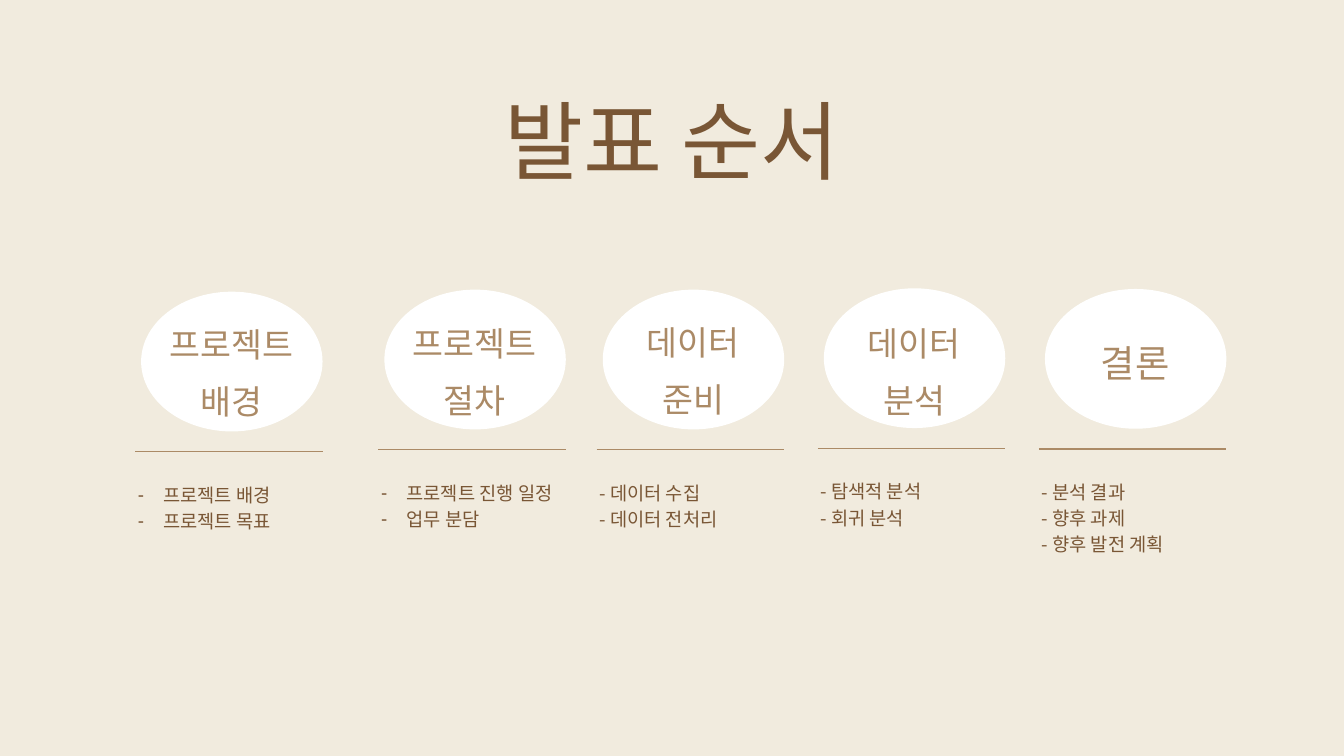
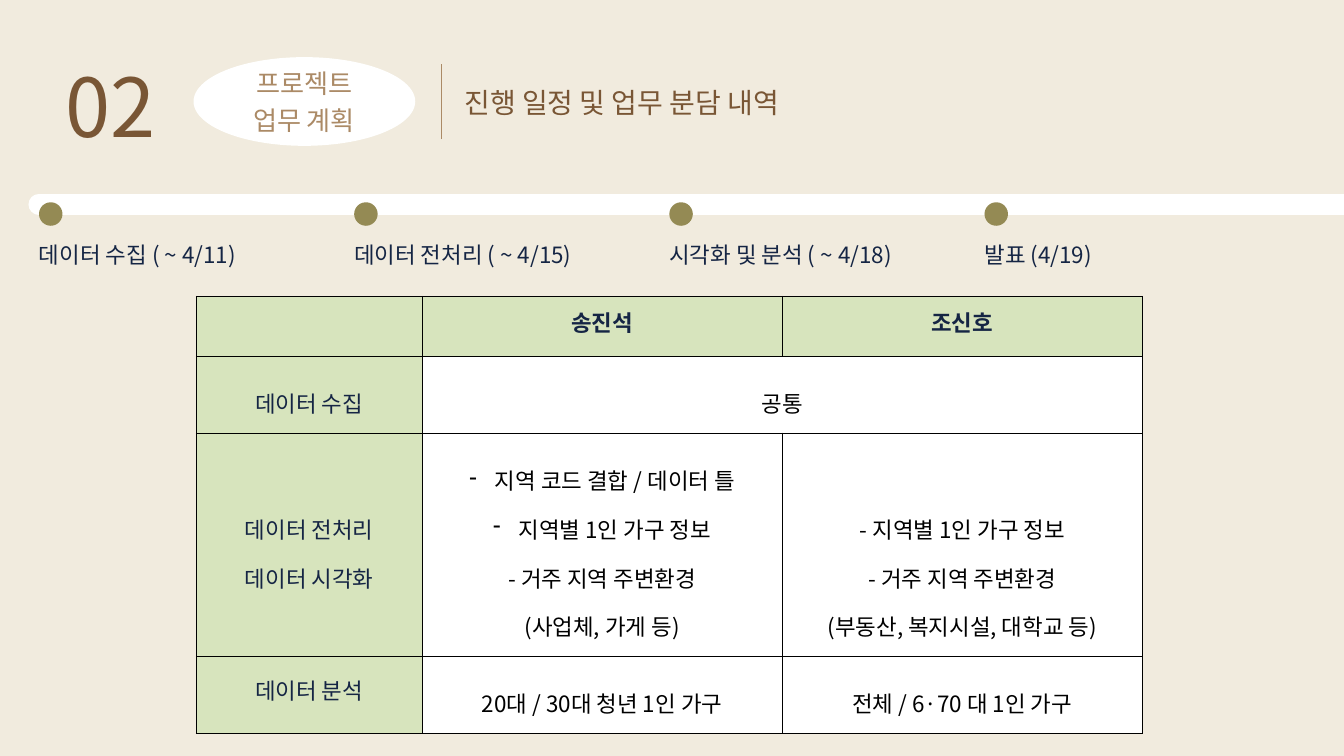
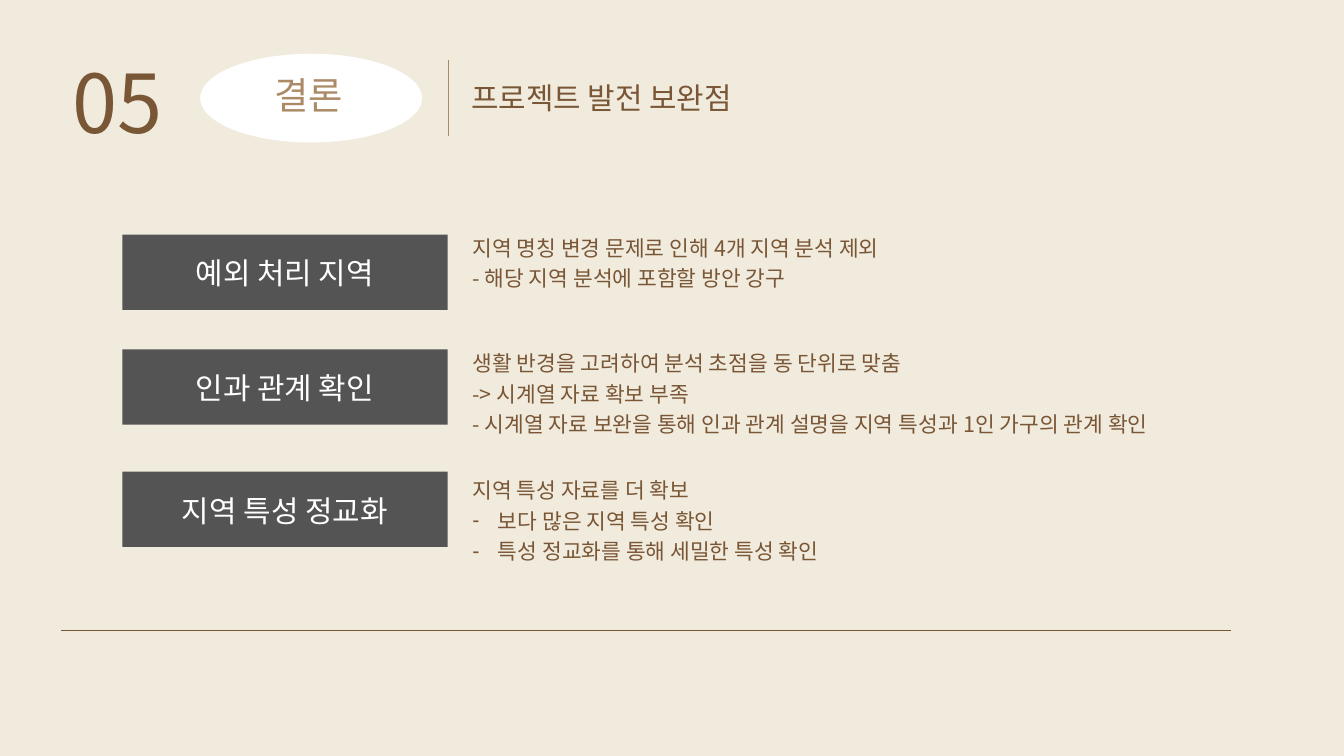
from copy import deepcopy

from lxml.etree import SubElement
from pptx import Presentation
from pptx.dml.color import RGBColor
from pptx.enum.shapes import MSO_CONNECTOR, MSO_SHAPE, MSO_SHAPE_TYPE
from pptx.enum.text import MSO_ANCHOR, MSO_AUTO_SIZE, PP_ALIGN
from pptx.oxml.ns import qn
from pptx.util import Inches, Pt

FONT = "Noto Sans CJK KR"
CREAM = RGBColor(0xF1, 0xEB, 0xDE)
BROWN = RGBColor(0x79, 0x56, 0x35)
TAN = RGBColor(0xAB, 0x8A, 0x66)
WHITE = RGBColor(0xFF, 0xFF, 0xFF)
BLACK = RGBColor(0x00, 0x00, 0x00)
NAVY = RGBColor(0x15, 0x25, 0x44)
OLIVE = RGBColor(0x94, 0x8A, 0x54)
GREEN = RGBColor(0xD7, 0xE4, 0xBD)
GRAY = RGBColor(0x54, 0x54, 0x54)


def write(frame, lines, size, color, spacing, align=PP_ALIGN.LEFT, dashed=(), bold=False):
    """Fill a text frame; the line numbers in dashed get a hanging dash bullet."""
    frame.text = "\n".join(lines)
    for number, paragraph in enumerate(frame.paragraphs):
        properties = paragraph._p.get_or_add_pPr()
        indent = Inches(0.38) if number in dashed else 0
        properties.set("marL", str(indent))
        properties.set("indent", str(-indent))
        if indent:
            SubElement(properties, qn("a:buChar")).set("char", "-")
        else:
            SubElement(properties, qn("a:buNone"))
        paragraph.alignment = align
        paragraph.line_spacing = spacing
        paragraph.space_before = Pt(0)
        for run in paragraph.runs:
            run.font.size = Pt(size)
            run.font.bold = bold
            run.font.color.rgb = color
            run.font.name = FONT
            SubElement(run._r.get_or_add_rPr(), qn("a:ea")).set("typeface", FONT)


def place_text(shape, left, top, width, height, lines, size, color, spacing, **style):
    """Position a text box or placeholder without insets and write into it."""
    shape.left, shape.top = Inches(left), Inches(top)
    shape.width, shape.height = Inches(width), Inches(height)
    frame = shape.text_frame
    frame.margin_left = frame.margin_right = frame.margin_top = frame.margin_bottom = 0
    frame.word_wrap = True
    frame.auto_size = MSO_AUTO_SIZE.NONE
    frame.vertical_anchor = MSO_ANCHOR.TOP
    write(frame, lines, size, color, Pt(spacing), **style)


prs = Presentation()
prs.slide_width, prs.slide_height = Inches(20), Inches(11.25)
prs.slide_master.background.fill.solid()
prs.slide_master.background.fill.fore_color.rgb = CREAM

# Give the title-and-content layout five list placeholders
layout = prs.slide_layouts[1]
first_list = layout.placeholders[1]._element
for extra in range(4):
    another_list = deepcopy(first_list)
    another_list.ph.set("idx", str(20 + extra))
    another_list.nvSpPr.cNvPr.set("id", str(20 + extra))
    layout.shapes._spTree.append(another_list)
agenda, plan, conclusion = [prs.slides.add_slide(layout) for _ in range(3)]

# Agenda
place_text(agenda.shapes.title, 7.19, 1.05, 5.62, 1.71, ["발표 순서"], 92, BROWN, 128.8,
           align=PP_ALIGN.CENTER)
# left, top of the oval, top of its label, label, label size, topics, dashed lines
sections = [
    (2.01, 4.34, 4.56, ["프로젝트", "배경"], 36, ["프로젝트 배경", "프로젝트 목표"], (0, 1)),
    (5.63, 4.31, 4.55, ["프로젝트", "절차"], 36, ["프로젝트 진행 일정", "업무 분담"], (0, 1)),
    (8.88, 4.31, 4.53, ["데이터", "준비"], 36, ["- 데이터 수집", "- 데이터 전처리"], ()),
    (12.17, 4.29, 4.55, ["데이터", "분석"], 36, ["- 탐색적 분석", "- 회귀 분석"], ()),
    (15.46, 4.3, 4.88, ["결론"], 40, ["- 분석 결과", "- 향후 과제", "- 향후 발전 계획"], ()),
]
topic_lists = list(agenda.placeholders)[1:]
for topic_list, section in zip(topic_lists, sections):
    left, top, label_top, label, size, topics, dashed = section
    oval = agenda.shapes.add_shape(
        MSO_SHAPE.OVAL, Inches(left + 0.09), Inches(top), Inches(2.7), Inches(2.08))
    oval.fill.solid()
    oval.fill.fore_color.rgb = WHITE
    rule = agenda.shapes.add_connector(
        MSO_CONNECTOR.STRAIGHT, Inches(left), Inches(top + 2.38),
        Inches(left + 2.79), Inches(top + 2.38))
    rule.line.color.rgb = TAN
    rule.line.width = Pt(1.5)
    place_text(agenda.shapes.add_textbox(0, 0, 0, 0), left, label_top, 2.87, 0.85 * len(label),
               label, size, TAN, 61.5, align=PP_ALIGN.CENTER)
    place_text(topic_list, left + 0.04, top + 2.8, 2.78, 0.39 * len(topics),
               topics, 20, BROWN, 28, align=PP_ALIGN.JUSTIFY, dashed=dashed)

# Headers of the numbered slides
headers = [
    (plan, 0.98, 0.59, "02", ["프로젝트", "업무 계획"], 28, 3.61, 0.93,
     "진행 일정 및 업무 분담 내역", 30),
    (conclusion, 1.08, 0.54, "05", ["결론"], 40, 3.68, 1.2, "프로젝트 발전 보완점", 32),
]
for slide, left, top, number, badge, badge_size, badge_left, badge_top, title, size in headers:
    oval = slide.shapes.add_shape(
        MSO_SHAPE.OVAL, Inches(left + 1.9), Inches(top + 0.26), Inches(3.3), Inches(1.32))
    oval.fill.solid()
    oval.fill.fore_color.rgb = WHITE
    divider = slide.shapes.add_connector(
        MSO_CONNECTOR.STRAIGHT, Inches(left + 5.59), Inches(top + 1.48),
        Inches(left + 5.59), Inches(top + 0.36))
    divider.line.color.rgb = TAN
    divider.line.width = Pt(1.5)
    place_text(slide.shapes.add_textbox(0, 0, 0, 0), left, top, 1.51, 1.58,
               [number], 87, BROWN, 121.9)
    place_text(slide.shapes.add_textbox(0, 0, 0, 0), badge_left, badge_top, 1.83,
               0.55 * len(badge), badge, badge_size, TAN, 39.3, align=PP_ALIGN.CENTER)
    place_text(slide.shapes.title, left + 5.93, top + 0.6, 6.74, 0.58,
               [title], size, BROWN, 41.5)

# Plan: timeline
timeline = plan.shapes.add_connector(
    MSO_CONNECTOR.STRAIGHT, Inches(0.58), Inches(3.04), Inches(20), Inches(3.04))
timeline.line.color.rgb = WHITE
timeline.line.width = Pt(22.5)
timeline._element.spPr.find(qn("a:ln")).set("cap", "rnd")
milestones = ["데이터 수집 ( ~ 4/11)", "데이터 전처리 ( ~ 4/15)",
              "시각화 및 분석 ( ~ 4/18)", "발표 (4/19)"]
for step, milestone in enumerate(milestones):
    left = 0.58 + 4.69 * step
    dot = plan.shapes.add_shape(
        MSO_SHAPE.OVAL, Inches(left), Inches(3.01), Inches(0.35), Inches(0.35))
    dot.fill.solid()
    dot.fill.fore_color.rgb = OLIVE
    place_text(plan.shapes.add_textbox(0, 0, 0, 0), left, 3.55, 3.87, 0.41,
               [milestone], 24, NAVY, 31.2)

# Plan: who does what
duties = [
    [[], ["송진석"], ["조신호"]],
    [["데이터 수집"], ["공통"], []],
    [["데이터 전처리", "데이터 시각화"],
     ["지역 코드 결합 / 데이터 틀", "지역별 1인 가구 정보", "- 거주 지역 주변환경",
      "(사업체, 가게 등)"],
     ["- 지역별 1인 가구 정보", "- 거주 지역 주변환경", "(부동산, 복지시설, 대학교 등)"]],
    [["데이터 분석"], ["20대 / 30대 청년 1인 가구"], ["전체 / 6·70 대 1인 가구"]],
]
table = plan.shapes.add_table(
    4, 3, Inches(2.92), Inches(4.41), Inches(14.08), Inches(6.3)).table
table.first_row = table.horz_banding = False
for column, width in zip(table.columns, (3.36, 5.36, 5.36)):
    column.width = Inches(width)
for row, height in zip(table.rows, (0.89, 1.1, 3.2, 1.1)):
    row.height = Inches(height)
for r, duty_row in enumerate(duties):
    for c, lines in enumerate(duty_row):
        cell = table.cell(r, c)
        heading = r == 0 or c == 0
        cell.vertical_anchor = MSO_ANCHOR.MIDDLE
        cell.margin_left = cell.margin_right = Inches(0.21)
        cell.margin_top = cell.margin_bottom = Inches(0.21)
        for side in ("a:lnL", "a:lnR", "a:lnT", "a:lnB"):
            border = SubElement(cell._tc.get_or_add_tcPr(), qn(side), w=str(Pt(1)))
            border_fill = SubElement(border, qn("a:solidFill"))
            SubElement(border_fill, qn("a:srgbClr"), val=str(BLACK))
        cell.fill.solid()
        cell.fill.fore_color.rgb = GREEN if heading else WHITE
        if lines:
            spacing = {(0, 1): Pt(25.2), (0, 2): Pt(25.2), (3, 0): Pt(22.4)}.get((r, c), 1.5)
            write(cell.text_frame, lines, 24, NAVY if heading else BLACK, spacing,
                  align=PP_ALIGN.CENTER, dashed=(0, 1) if (r, c) == (2, 1) else (), bold=r == 0)
table.cell(1, 1).merge(table.cell(1, 2))
table.cell(2, 2).margin_top = Inches(0.94)

# Conclusion
improvements = [
    (3.49, "예외 처리 지역", 3.43,
     ["지역 명칭 변경 문제로 인해 4개 지역 분석 제외", "- 해당 지역 분석에 포함할 방안 강구"], ()),
    (5.2, "인과 관계 확인", 5.15,
     ["생활 반경을 고려하여 분석 초점을 동 단위로 맞춤", "-> 시계열 자료 확보 부족",
      "- 시계열 자료 보완을 통해 인과 관계 설명을 지역 특성과 1인 가구의 관계 확인"], ()),
    (7.02, "지역 특성 정교화", 7.04,
     ["지역 특성 자료를 더 확보", "보다 많은 지역 특성 확인",
      "특성 정교화를 통해 세밀한 특성 확인"], (1, 2)),
]
detail_lists = list(conclusion.placeholders)[1:]
for detail_list, (top, topic, list_top, details, dashed) in zip(detail_lists, improvements):
    topic_block = conclusion.shapes.add_shape(
        MSO_SHAPE.RECTANGLE, Inches(1.82), Inches(top), Inches(4.84), Inches(1.12))
    topic_block.fill.solid()
    topic_block.fill.fore_color.rgb = GRAY
    topic_block.text_frame.vertical_anchor = MSO_ANCHOR.MIDDLE
    topic_block.text_frame.margin_top = Inches(0.12)
    write(topic_block.text_frame, [topic], 32, WHITE, Pt(35), align=PP_ALIGN.CENTER)
    place_text(detail_list, 7.03, list_top, 11.81, 0.45 * len(details),
               details, 23, BROWN, 32.3, align=PP_ALIGN.JUSTIFY, dashed=dashed)
closing_rule = conclusion.shapes.add_connector(
    MSO_CONNECTOR.STRAIGHT, Inches(0.91), Inches(9.38), Inches(18.32), Inches(9.38))
closing_rule.line.color.rgb = BROWN
closing_rule.line.width = Pt(1.5)

# Flat look everywhere, and no unused placeholders
for slide in prs.slides:
    for shape in list(slide.shapes):
        if shape.is_placeholder and not shape.text_frame.text:
            shape._element.getparent().remove(shape._element)
        elif shape.shape_type == MSO_SHAPE_TYPE.AUTO_SHAPE:
            shape.shadow.inherit = False
            shape.line.fill.background()
        elif shape.shape_type == MSO_SHAPE_TYPE.LINE:
            SubElement(shape._element.spPr, qn("a:effectLst"))

prs.save("out.pptx")
